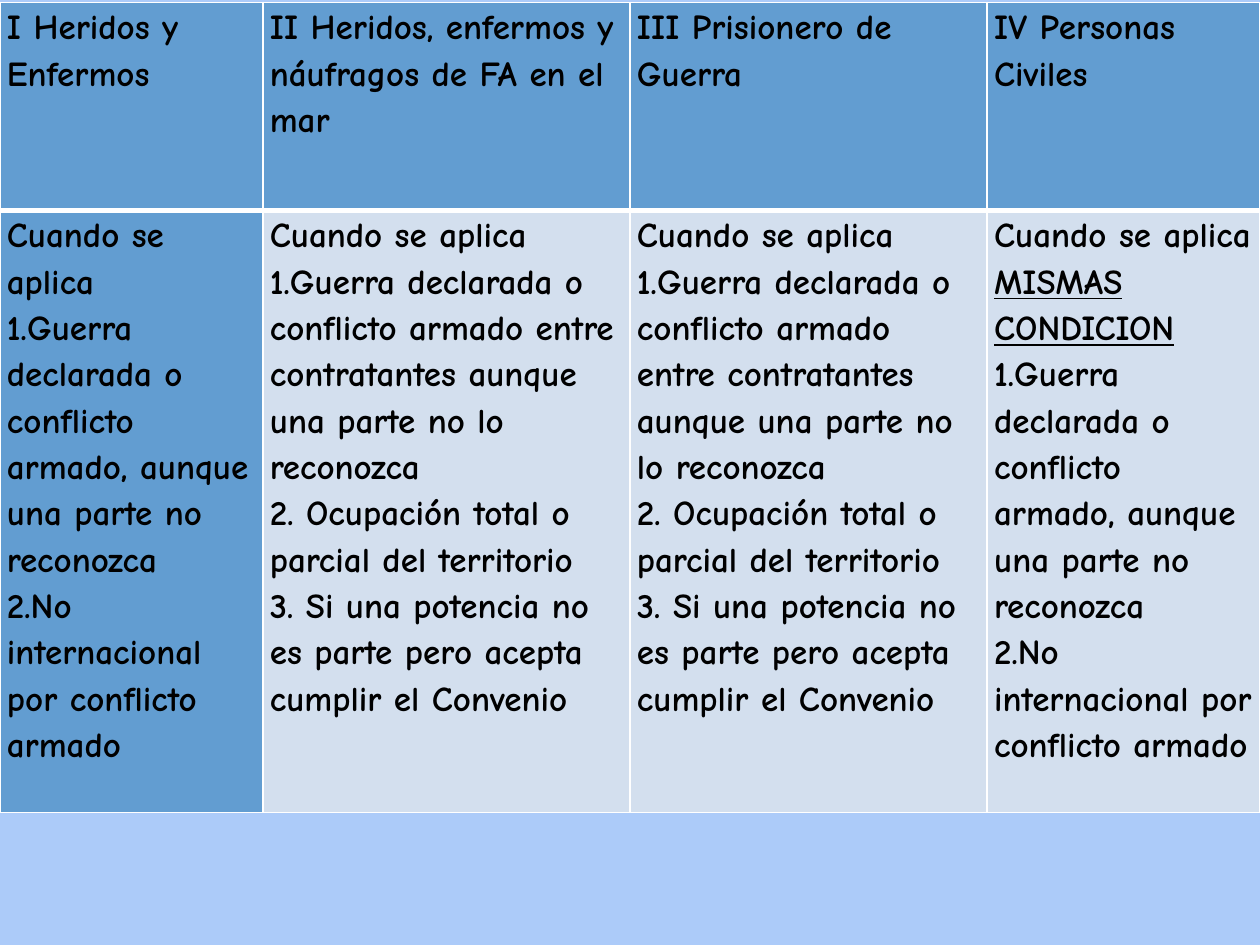
import pptx
import pptx.util
import pptx.dml.color
import pptx.oxml
import pptx.oxml.ns
from pptx.util import Cm

SKY = pptx.dml.color.RGBColor(0xAC, 0xCB, 0xF9)
BLUE = pptx.dml.color.RGBColor(0x62, 0x9D, 0xD1)
PALE = pptx.dml.color.RGBColor(0xD3, 0xDF, 0xEE)
WHITE = pptx.dml.color.RGBColor(0xFF, 0xFF, 0xFF)
BLACK = pptx.dml.color.RGBColor(0x00, 0x00, 0x00)

APPLIES = "Cuando se aplica"
SAME_TERMS = "MISMAS CONDICION"
LAND_TERMS = [
    "1.Guerra declarada o conflicto armado, aunque una parte no reconozca",
    "2.No internacional por conflicto armado",
]
PARTY_TERMS = [
    "1.Guerra declarada o conflicto armado entre contratantes aunque una parte no lo reconozca",
    "2. Ocupación total o parcial del territorio",
    "3. Si una potencia no es parte pero acepta cumplir el Convenio",
]
conventions = [
    ("I Heridos y Enfermos", 5.3, [APPLIES] + LAND_TERMS),
    ("II Heridos, enfermos y náufragos de FA en el mar", 7.4, [APPLIES] + PARTY_TERMS),
    ("III Prisionero de Guerra", 7.2, [APPLIES] + PARTY_TERMS),
    ("IV Personas Civiles", 5.5, [APPLIES, SAME_TERMS] + LAND_TERMS),
]


def add_borders(cell, widths):
    properties = cell._tc.get_or_add_tcPr()
    for position, (side, points) in enumerate(widths.items()):
        border = pptx.oxml.parse_xml(
            f'<a:{side} {pptx.oxml.ns.nsdecls("a")} w="{pptx.util.Pt(points)}">'
            f'<a:solidFill><a:srgbClr val="{WHITE}"/></a:solidFill></a:{side}>'
        )
        properties.insert(position, border)


def fill_cell(cell, lines, color):
    cell.fill.solid()
    cell.fill.fore_color.rgb = color
    cell.margin_left = cell.margin_right = Cm(0.14)
    cell.margin_top = cell.margin_bottom = 0
    for index, line in enumerate(lines):
        frame = cell.text_frame
        paragraph = frame.add_paragraph() if index else frame.paragraphs[0]
        paragraph.line_spacing = 1.15
        run = paragraph.add_run()
        run.text = line
        run.font.name = "Comic Neue"
        run.font.size = pptx.util.Pt(20)
        run.font.bold = True
        run.font.color.rgb = BLACK
        run.font.underline = line == SAME_TERMS


deck = pptx.Presentation()
deck.slide_width = Cm(25.4)
deck.slide_height = Cm(19.05)
slide = deck.slides.add_slide(deck.slide_layouts[6])
slide.background.fill.solid()
slide.background.fill.fore_color.rgb = SKY

comparison = slide.shapes.add_table(
    2, len(conventions), 0, Cm(0.05), Cm(25.4), Cm(16.33)
).table
comparison.rows[0].height = Cm(4.19)
comparison.rows[1].height = Cm(12.14)

for column, (heading, width, terms) in enumerate(conventions):
    comparison.columns[column].width = Cm(width)
    heading_cell = comparison.cell(0, column)
    terms_cell = comparison.cell(1, column)
    fill_cell(heading_cell, [heading], BLUE)
    fill_cell(terms_cell, terms, PALE if column else BLUE)
    add_borders(heading_cell, {"lnL": 1, "lnR": 1, "lnT": 1, "lnB": 3})
    add_borders(terms_cell, {"lnL": 1, "lnR": 1, "lnT": 3, "lnB": 1})

deck.save("out.pptx")
